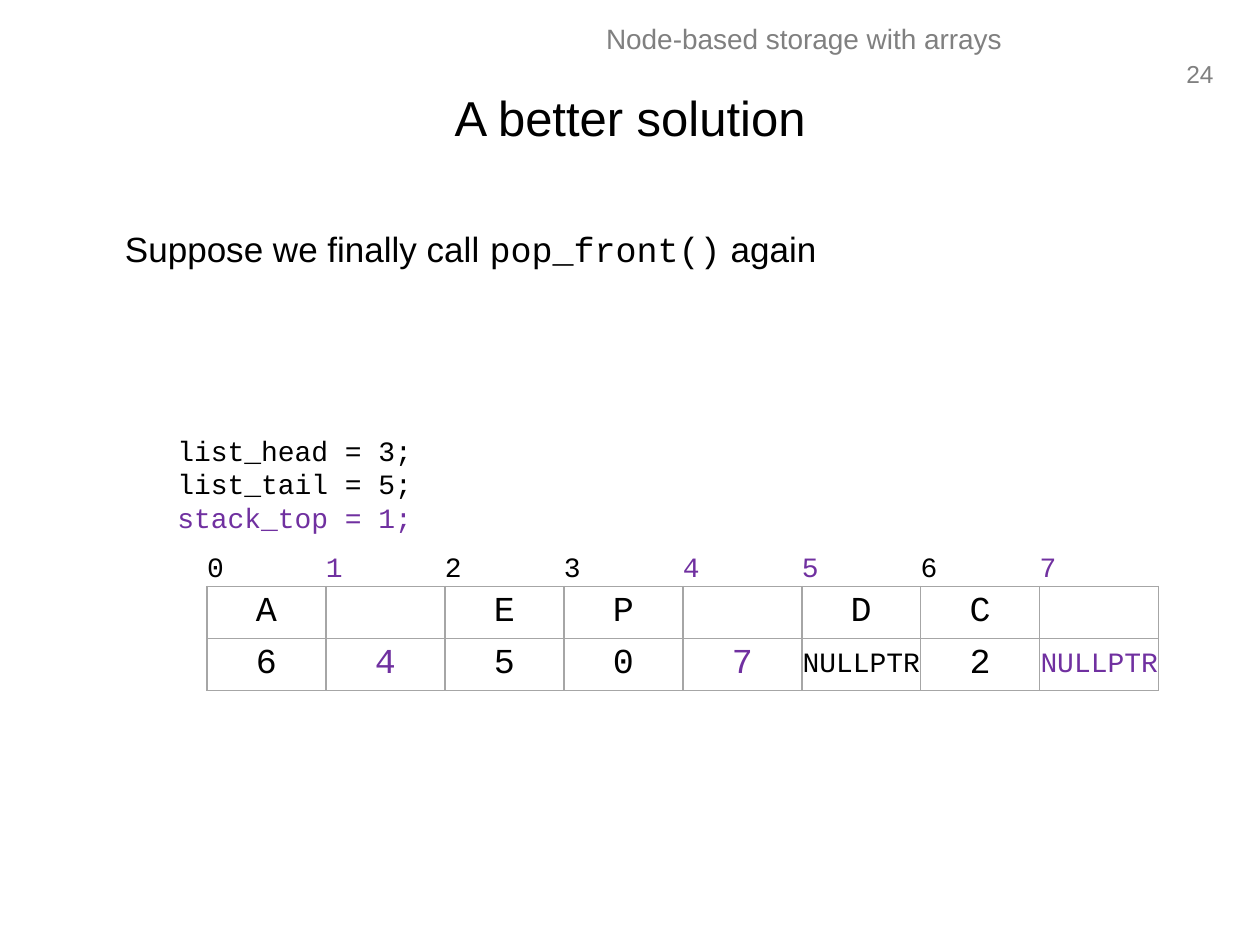
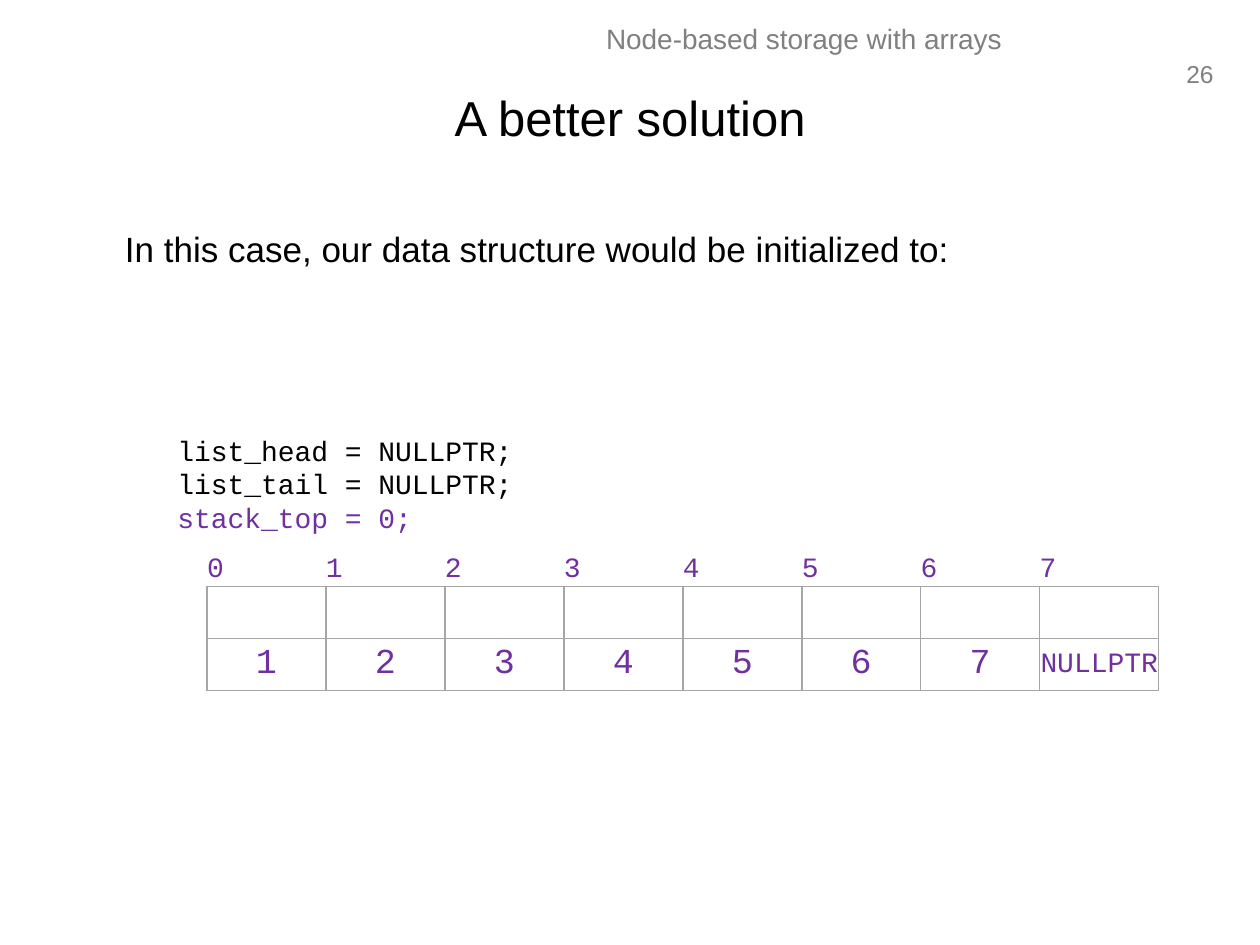
from lxml.etree import SubElement
from pptx import Presentation
from pptx.dml.color import RGBColor
from pptx.enum.text import MSO_ANCHOR, MSO_AUTO_SIZE, PP_ALIGN
from pptx.oxml.ns import qn
from pptx.util import Emu, Pt

PX_PER_INCH = 126
COLORS = {"text": "000000", "free": "7030A0", "muted": "808080", "border": "A6A6A6"}
SANS = "Arial"
MONO = "Courier New"
TITLE_ONLY = 5
COLUMN_WIDTH = 119
ROW_HEIGHTS = [32, 52, 52]
NULL = "NULLPTR"

SLIDES = [
    {
        "number": "24",
        "lead": [("Suppose we finally call ", SANS), ("pop_front()", MONO), (" again", SANS)],
        "variables": {"list_head": "3", "list_tail": "5", "stack_top": "1"},
        "code_width": 301,
        "values": ["A", "", "E", "P", "", "D", "C", ""],
        "links": ["6", "4", "5", "0", "7", NULL, "2", NULL],
        "free_indices": {1, 4, 5, 7},
        "free_links": {1, 4, 7},
    },
    {
        "number": "26",
        "lead": [("In this case, our data structure would be initialized to:", SANS)],
        "variables": {"list_head": NULL, "list_tail": NULL, "stack_top": "0"},
        "code_width": 377,
        "values": [""] * 8,
        "links": ["1", "2", "3", "4", "5", "6", "7", NULL],
        "free_indices": set(range(8)),
        "free_links": set(range(8)),
    },
]


def px(length):
    return Emu(round(length * 914400 / PX_PER_INCH))


def set_attributes(target, values):
    for name, value in values.items():
        setattr(target, name, value)


def set_place(shape, left, top, width, height):
    place = {"left": left, "top": top, "width": width, "height": height}
    set_attributes(shape, {name: px(length) for name, length in place.items()})


def add_run(paragraph, text, size, font=SANS, color="text"):
    run = paragraph.add_run()
    run.text = text
    set_attributes(run.font, {"size": Pt(size), "name": font, "bold": False})
    run.font.color.rgb = RGBColor.from_string(COLORS[color])


def add_text_box(slide, place, **frame_format):
    box = slide.shapes.add_textbox(*map(px, place))
    set_attributes(box.text_frame, {"word_wrap": True, **frame_format})
    return box.text_frame


def add_page_header(slide, number):
    heading = add_text_box(slide, (402, 15, 804, 50)).paragraphs[0]
    heading.alignment = PP_ALIGN.CENTER
    add_run(heading, "Node-based storage with arrays", 16, color="muted")
    page = add_text_box(slide, (1171, 53, 55, 42), word_wrap=False).paragraphs[0]
    page.alignment = PP_ALIGN.RIGHT
    add_run(page, number, 14, color="muted")


def set_title(slide, text):
    title = slide.shapes.title
    set_place(title, 63, 38, 1134, 157)
    set_attributes(title.text_frame, {
        "word_wrap": True,
        "auto_size": MSO_AUTO_SIZE.NONE,
        "vertical_anchor": MSO_ANCHOR.MIDDLE,
    })
    paragraph = title.text_frame.paragraphs[0]
    paragraph.alignment = PP_ALIGN.CENTER
    add_run(paragraph, text, 28)


def add_lead(slide, runs):
    frame = add_text_box(slide, (63, 221, 1134, 624), margin_left=px(62))
    for text, font in runs:
        add_run(frame.paragraphs[0], text, 20, font)


def add_code(slide, variables, width):
    frame = add_text_box(slide, (165, 427, width, 115))
    for position, (name, value) in enumerate(variables.items()):
        paragraph = frame.add_paragraph() if position else frame.paragraphs[0]
        color = "free" if name == "stack_top" else "text"
        add_run(paragraph, f"{name} = {value};", 16, MONO, color)


def draw_borders(cell):
    properties = cell._tc.get_or_add_tcPr()
    for position, side in enumerate(("lnL", "lnR", "lnT", "lnB")):
        line = SubElement(properties, qn(f"a:{side}"), w=str(Pt(1)))
        fill = SubElement(line, qn("a:solidFill"))
        SubElement(fill, qn("a:srgbClr"), val=COLORS["border"])
        properties.insert(position, line)


def fill_cell(cell, text, size, color, alignment):
    cell.fill.background()
    set_attributes(cell, {
        "margin_left": 0, "margin_right": 0, "margin_top": 0, "margin_bottom": 0,
        "vertical_anchor": MSO_ANCHOR.MIDDLE,
    })
    paragraph = cell.text_frame.paragraphs[0]
    paragraph.alignment = alignment
    if text:
        add_run(paragraph, text, size, MONO, color)


def add_node_table(slide, values, links, free_indices, free_links):
    count = len(values)
    place = (207, 553, COLUMN_WIDTH * count, sum(ROW_HEIGHTS))
    table = slide.shapes.add_table(len(ROW_HEIGHTS), count, *map(px, place)).table
    set_attributes(table, {"first_row": False, "horz_banding": False})
    for column in table.columns:
        column.width = px(COLUMN_WIDTH)
    for row, height in zip(table.rows, ROW_HEIGHTS):
        row.height = px(height)
    indices = [str(index) for index in range(count)]
    rows = [(indices, free_indices), (values, set()), (links, free_links)]
    for row_index, (texts, free) in enumerate(rows):
        for column_index, text in enumerate(texts):
            cell = table.cell(row_index, column_index)
            is_index = row_index == 0
            size = 16 if is_index or text == NULL else 20
            color = "free" if column_index in free else "text"
            alignment = PP_ALIGN.LEFT if is_index else PP_ALIGN.CENTER
            fill_cell(cell, text, size, color, alignment)
            if not is_index:
                draw_borders(cell)


def main():
    presentation = Presentation()
    set_attributes(presentation, {"slide_width": px(1260), "slide_height": px(945)})
    for content in SLIDES:
        slide = presentation.slides.add_slide(presentation.slide_layouts[TITLE_ONLY])
        add_page_header(slide, content["number"])
        set_title(slide, "A better solution")
        add_lead(slide, content["lead"])
        add_node_table(slide, content["values"], content["links"],
                       content["free_indices"], content["free_links"])
        add_code(slide, content["variables"], content["code_width"])
    presentation.save("out.pptx")


if __name__ == "__main__":
    main()
